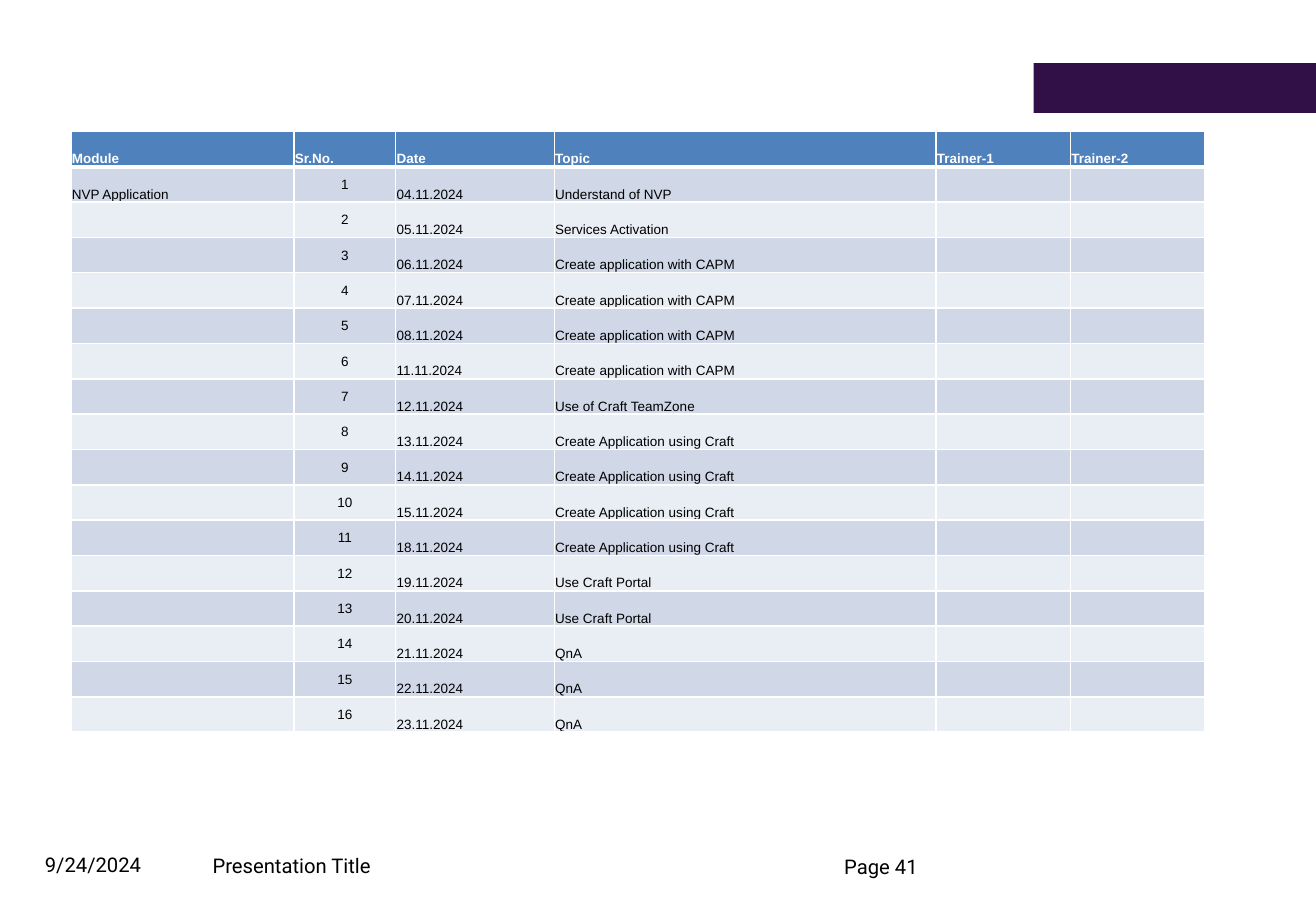
import pptx
import pptx.util
import pptx.dml.color
import pptx.enum.shapes
import pptx.enum.text
import pptx.oxml.ns
import lxml.etree

Pt = pptx.util.Pt
RGBColor = pptx.dml.color.RGBColor
ANCHOR = pptx.enum.text.MSO_ANCHOR
qn = pptx.oxml.ns.qn

WHITE = RGBColor(0xFF, 0xFF, 0xFF)
BLACK = RGBColor(0x00, 0x00, 0x00)
PURPLE = RGBColor(0x30, 0x10, 0x47)
HEADER_BLUE = RGBColor(0x4F, 0x81, 0xBD)
BAND_DARK = RGBColor(0xD0, 0xD8, 0xE8)
BAND_LIGHT = RGBColor(0xE9, 0xED, 0xF4)

HEADERS = ["Module", "Sr.No.", "Date", "Topic", "Trainer-1", "Trainer-2"]
COL_WIDTHS = [132.25, 60.25, 94, 226.25, 79.75, 79.75]
ROW_HEIGHT = 20.95
DAYS = [4, 5, 6, 7, 8, 11, 12, 13, 14, 15, 18, 19, 20, 21, 22, 23]
TOPICS = (
    ["Understand of NVP", "Services Activation"]
    + ["Create application with CAPM"] * 4
    + ["Use of Craft TeamZone"]
    + ["Create Application using Craft"] * 4
    + ["Use Craft Portal"] * 2
    + ["QnA"] * 3
)
FOOTERS = [
    ("9/24/2024", 26.6, 497.5, 113.8, 22.3, ANCHOR.BOTTOM),
    ("Page 41", 500.4, 508.3, 100, 12.2, ANCHOR.TOP),
    ("Presentation Title", 126, 498.2, 140.4, 22.3, ANCHOR.BOTTOM),
]


def add_border(cell, side, width):
    tag = qn("a:ln" + side)
    ln = lxml.etree.Element(tag, w=str(Pt(width)))
    fill = lxml.etree.SubElement(ln, qn("a:solidFill"))
    lxml.etree.SubElement(fill, qn("a:srgbClr"), val=str(WHITE))
    cell._tc.get_or_add_tcPr().insert("LRTB".index(side), ln)


prs = pptx.Presentation()
prs.slide_width = Pt(780)
prs.slide_height = Pt(540)
s = prs.slides.add_slide(prs.slide_layouts[6])

for text, left, top, width, height, anchor in FOOTERS:
    sp = s.shapes.add_textbox(Pt(left), Pt(top), Pt(width), Pt(height))
    tf = sp.text_frame
    tf.word_wrap = True
    tf.vertical_anchor = anchor
    tf.margin_left = tf.margin_right = tf.margin_top = tf.margin_bottom = 0
    tf.text = text
    p = tf.paragraphs[0]
    p.line_spacing = 0.9
    r = p.runs[0]
    r.font.name = "Roboto"
    r.font.size = Pt(12)
    r.font.color.rgb = BLACK

sp = s.shapes.add_shape(
    pptx.enum.shapes.MSO_SHAPE.RECTANGLE, Pt(612.7), Pt(37.4), Pt(167.3), Pt(29.5)
)
sp.shadow.inherit = False
sp.fill.solid()
sp.fill.fore_color.rgb = PURPLE
sp.line.fill.background()

rows = [HEADERS]
for number, (day, topic) in enumerate(zip(DAYS, TOPICS), 1):
    module = "NVP Application" if number == 1 else ""
    rows.append([module, str(number), f"{day:02d}.11.2024", topic, "", ""])

table = s.shapes.add_table(
    len(rows), len(HEADERS), Pt(42.1), Pt(77.9),
    Pt(sum(COL_WIDTHS)), Pt(ROW_HEIGHT * len(rows)),
).table
for column, width in zip(table.columns, COL_WIDTHS):
    column.width = Pt(width)

for i, values in enumerate(rows):
    table.rows[i].height = Pt(ROW_HEIGHT)
    is_header = i == 0
    band = HEADER_BLUE if is_header else BAND_DARK if i % 2 else BAND_LIGHT
    for j, value in enumerate(values):
        cell = table.cell(i, j)
        is_number = j == 1 and not is_header
        cell.fill.solid()
        cell.fill.fore_color.rgb = band
        cell.margin_left = cell.margin_right = cell.margin_top = Pt(0.5)
        cell.margin_bottom = 0
        cell.vertical_anchor = ANCHOR.MIDDLE if is_number else ANCHOR.BOTTOM
        for side in "LRTB":
            heavy = (i, side) in [(0, "B"), (1, "T")]
            add_border(cell, side, 3 if heavy else 1)
        p = cell.text_frame.paragraphs[0]
        p.text = value
        if is_number:
            p.alignment = pptx.enum.text.PP_ALIGN.CENTER
        for r in p.runs:
            r.font.name = "Arial"
            r.font.size = Pt(8)
            r.font.bold = is_header
            r.font.color.rgb = WHITE if is_header else BLACK
        if not value:
            lxml.etree.SubElement(p._p, qn("a:endParaRPr"), sz="800")

prs.save("out.pptx")
